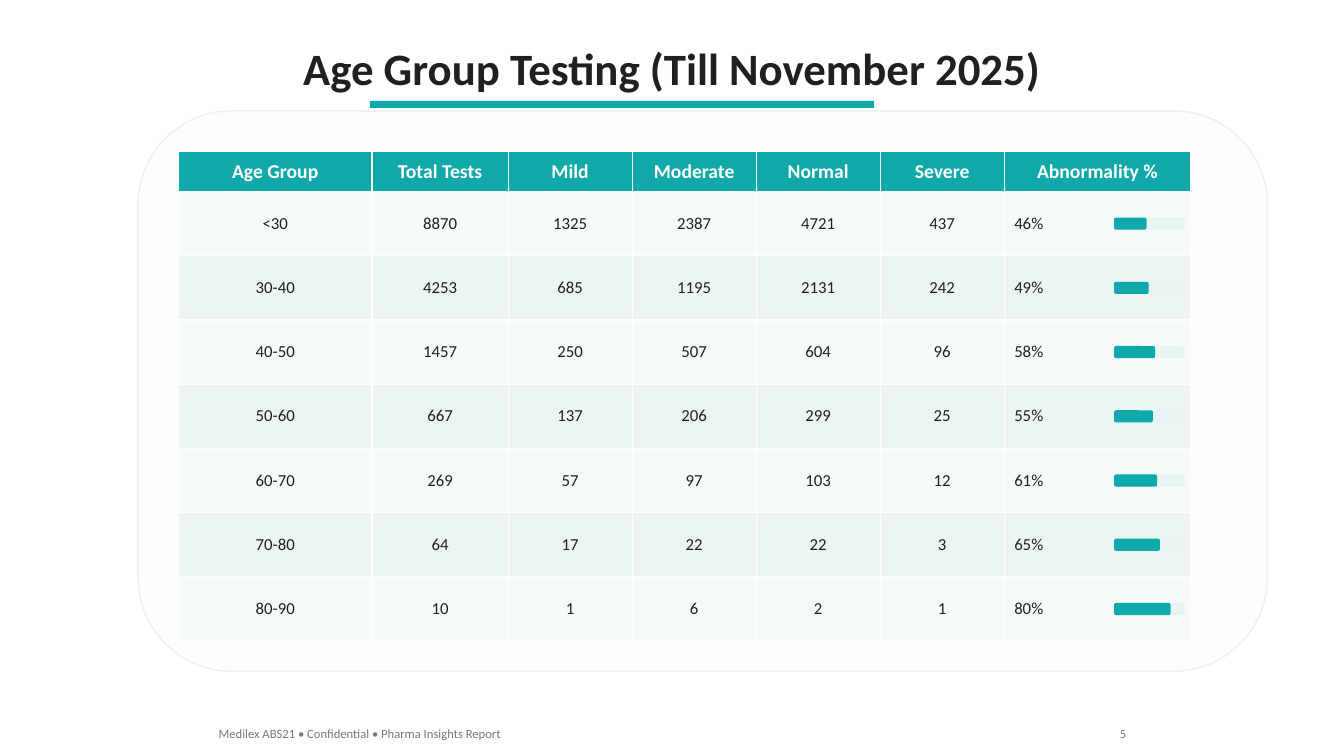
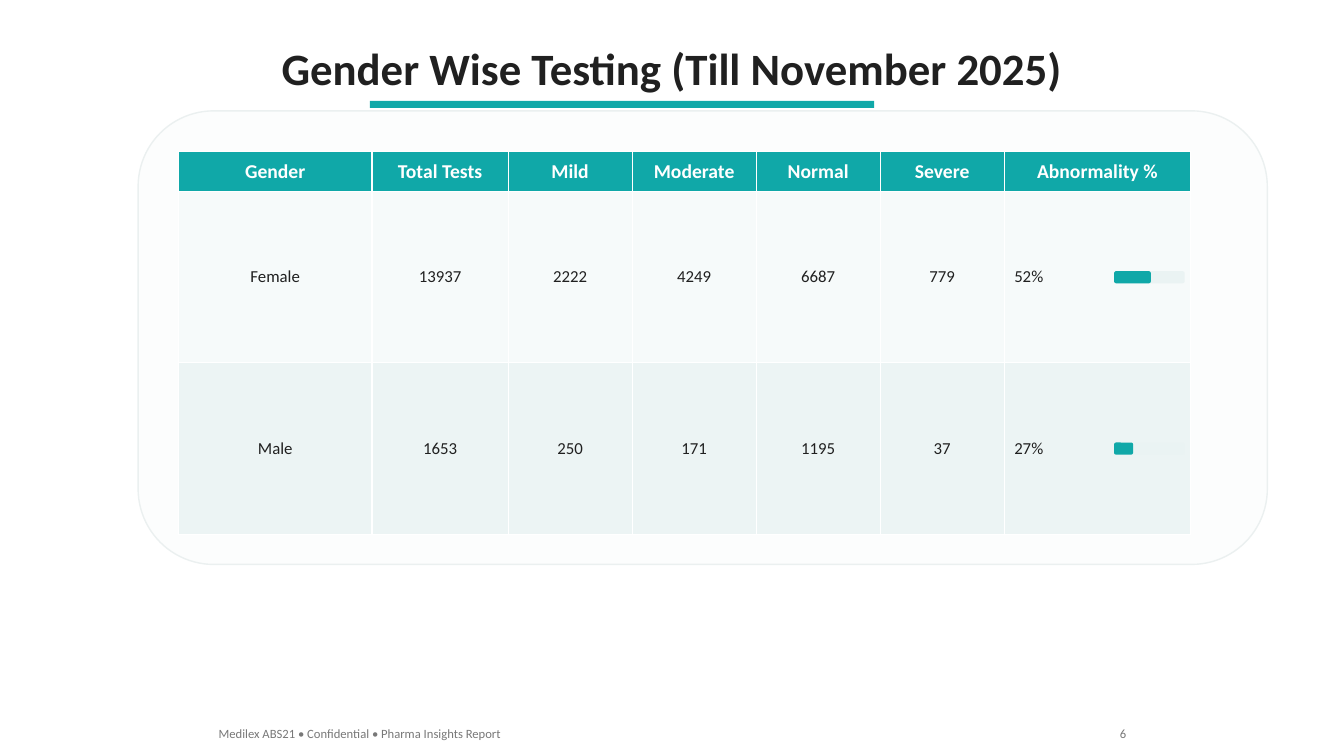
from pptx import Presentation
from pptx.dml.color import RGBColor
from pptx.enum.shapes import MSO_SHAPE
from pptx.enum.text import MSO_ANCHOR, MSO_AUTO_SIZE, PP_ALIGN
from pptx.util import Inches, Pt

RECT, ROUND = MSO_SHAPE.RECTANGLE, MSO_SHAPE.ROUNDED_RECTANGLE
LEFT, MID, RIGHT = PP_ALIGN.LEFT, PP_ALIGN.CENTER, PP_ALIGN.RIGHT
CENTER = MSO_ANCHOR.MIDDLE
GROW = MSO_AUTO_SIZE.SHAPE_TO_FIT_TEXT

WIDE, HIGH = 13.33, 7.5
TEAL, WHITE = "10A8A8", "FFFFFF"
CARD, EDGE, TRACK = "FCFDFD", "EBF0F0", "EAF3F3"
BANDS = ("F6FAFA", "ECF4F4")

# Text styles: font attributes and colour
TITLE = {"name": "Calibri", "size": Pt(32), "bold": True}, "202020"
HEAD = {"name": "Calibri", "size": Pt(14), "bold": True}, WHITE
BODY = {"name": "Calibri", "size": Pt(12), "bold": False}, "202020"
FOOT = {"name": "Calibri", "size": Pt(9)}, "787878"

# Table grid
X, Y, HEAD_H = 1.77, 1.5, 0.4
COLS = [1.92, 1.35] + [1.23] * 4 + [1.85]
LABELS = ["Total Tests", "Mild", "Moderate", "Normal", "Severe", "Abnormality %"]
BAR_W, BAR_H = 0.7, 0.12
BAR_X = X + sum(COLS) - BAR_W - 0.06

AGES = [
    ("<30", 8870, 1325, 2387, 4721, 437, 46),
    ("30-40", 4253, 685, 1195, 2131, 242, 49),
    ("40-50", 1457, 250, 507, 604, 96, 58),
    ("50-60", 667, 137, 206, 299, 25, 55),
    ("60-70", 269, 57, 97, 103, 12, 61),
    ("70-80", 64, 17, 22, 22, 3, 65),
    ("80-90", 10, 1, 6, 2, 1, 80),
]
SEXES = [
    ("Female", 13937, 2222, 4249, 6687, 779, 52),
    ("Male", 1653, 250, 171, 1195, 37, 27),
]


def color(code):
    return RGBColor.from_string(code)


class Deck:
    def __init__(self):
        self.prs = Presentation()
        self.prs.slide_width = Inches(WIDE)
        self.prs.slide_height = Inches(HIGH)
        self.slide = None

    def label(self, frame, words, style, align):
        line = frame.paragraphs[0]
        line.alignment = align
        run = line.add_run()
        run.text = words
        form, ink = style
        for key, value in form.items():
            setattr(run.font, key, value)
        run.font.color.rgb = color(ink)

    def text(self, box, words, style, align=LEFT):
        frame = self.slide.shapes.add_textbox(*map(Inches, box)).text_frame
        frame.word_wrap = False
        frame.auto_size = GROW
        self.label(frame, words, style, align)

    def shape(self, kind, box, fill, edge=None):
        item = self.slide.shapes.add_shape(kind, *map(Inches, box))
        item.shadow.inherit = False
        item.fill.solid()
        item.fill.fore_color.rgb = color(fill)
        if edge:
            item.line.color.rgb = color(edge)
            item.line.width = Pt(1)
        else:
            item.line.fill.background()

    def table(self, rows, row_h):
        size = X, Y, sum(COLS), HEAD_H + row_h * (len(rows) - 1)
        grid = self.slide.shapes.add_table(
            len(rows), len(COLS), *map(Inches, size)).table
        for col, width in zip(grid.columns, COLS):
            col.width = Inches(width)
        for r, row in enumerate(rows):
            grid.rows[r].height = Inches(row_h if r else HEAD_H)
            for c, words in enumerate(row):
                cell = grid.cell(r, c)
                cell.vertical_anchor = CENTER
                cell.fill.solid()
                cell.fill.fore_color.rgb = color(BANDS[(r - 1) % 2] if r else TEAL)
                last = r and c == len(COLS) - 1
                self.label(cell.text_frame, words, BODY if r else HEAD,
                           LEFT if last else MID)

    def bar(self, mid, share):
        top = mid - BAR_H / 2
        self.shape(ROUND, (BAR_X, top, BAR_W, BAR_H), TRACK)
        self.shape(ROUND, (BAR_X, top, BAR_W * share / 100, BAR_H), TEAL)

    def page(self, number, title, width, group, data, body_h):
        self.slide = self.prs.slides.add_slide(self.prs.slide_layouts[6])

        # Title and rule
        self.text(((WIDE - width) / 2, 0.35, width, 0.64), title, TITLE, MID)
        self.shape(RECT, (3.67, 1, 5, 0.07), TEAL)

        # Card and table
        self.shape(ROUND, (1.37, 1.1, 11.2, HEAD_H + body_h + 0.7), CARD, EDGE)
        row_h = body_h / len(data)
        rows = [[group] + LABELS]
        rows += [[*map(str, row[:-1]), f"{row[-1]}%"] for row in data]
        self.table(rows, row_h)

        # Share bars
        for i, row in enumerate(data):
            self.bar(Y + HEAD_H + row_h * (i + 0.5), row[-1])

        # Footer
        self.text((2.07, 7.15, 3.05, 0.25),
                  "Medilex ABS21 • Confidential • Pharma Insights Report", FOOT)
        self.text((11, 7.15, 0.27, 0.25), str(number), FOOT, RIGHT)


def main():
    deck = Deck()
    deck.page(5, "Age Group Testing (Till November 2025)", 7.59,
              "Age Group", AGES, 4.46)
    deck.page(6, "Gender Wise Testing (Till November 2025)", 8.02,
              "Gender", SEXES, 3.4)
    deck.prs.save("out.pptx")


if __name__ == "__main__":
    main()
